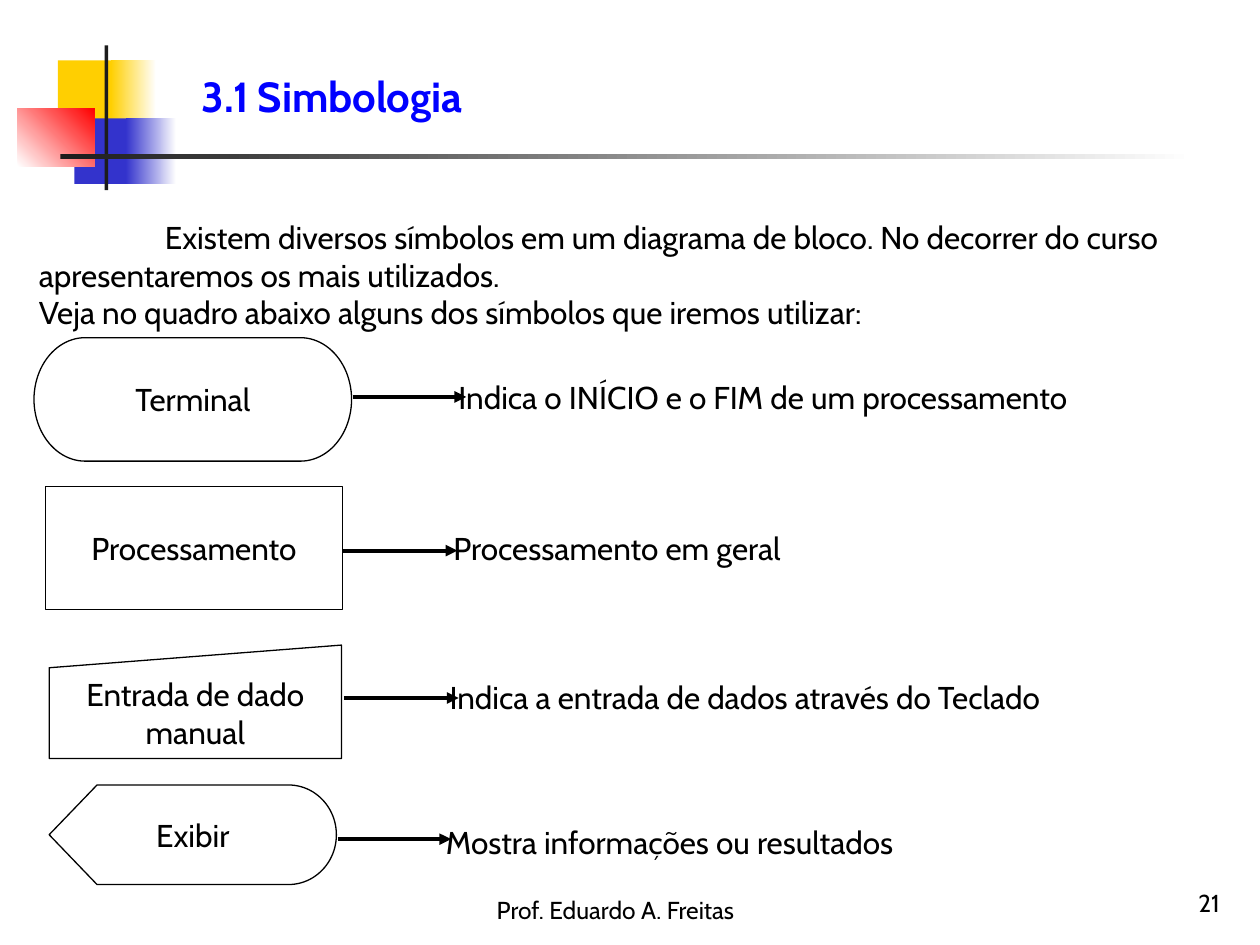
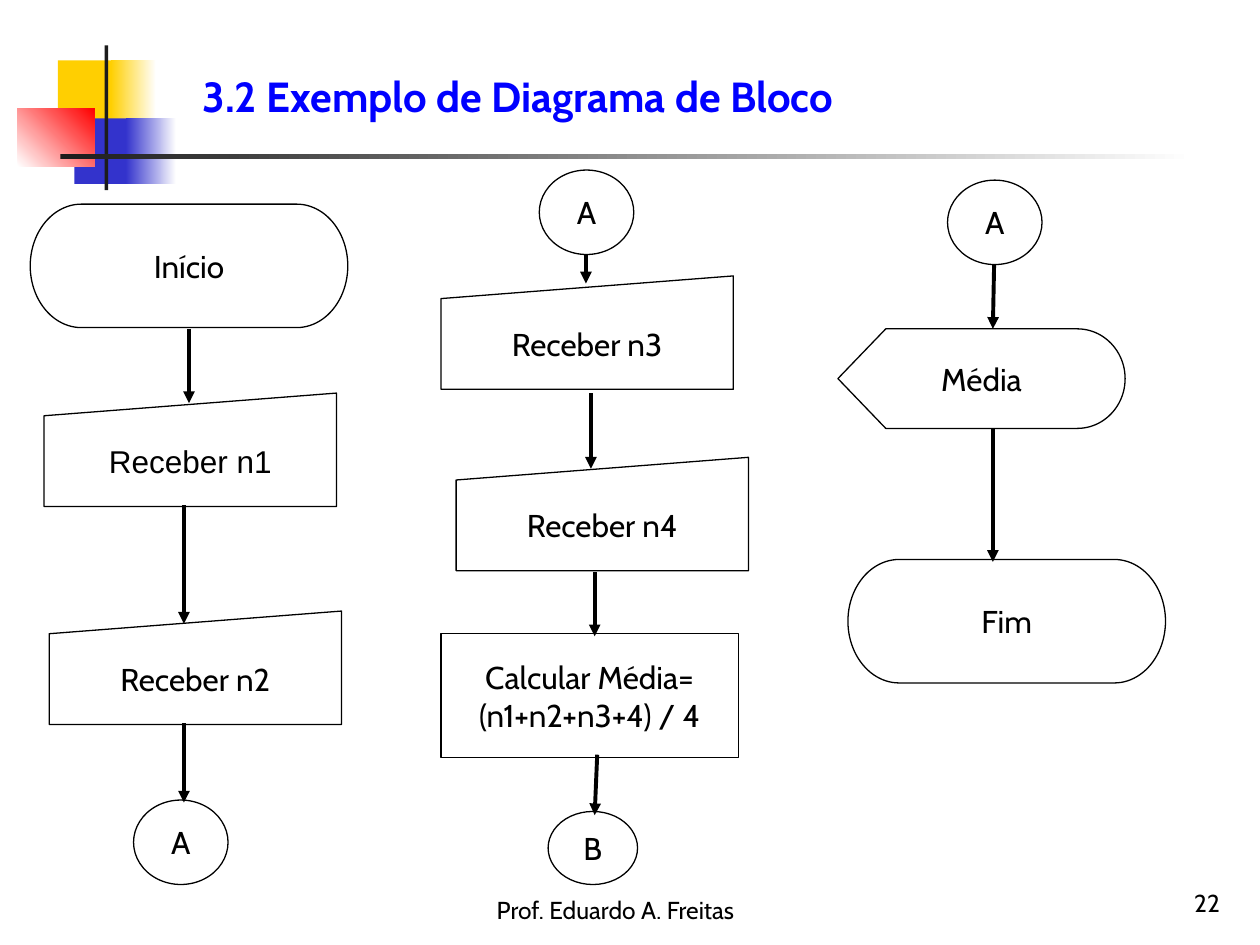
from lxml import etree
from pptx import Presentation
from pptx.dml.color import RGBColor
from pptx.enum import shapes, text
from pptx.oxml.ns import qn
from pptx.util import Inches, Pt

COLORS = {"yellow": "FFCF01", "blue": "3333CC", "red": "FF0000", "white": "FFFFFF",
          "dark": "1C1C1C", "title": "0000FF", "ink": "000000"}
FONT = "Cabin"
KIND = shapes.MSO_SHAPE
ALIGN = text.PP_ALIGN
ANCHOR = text.MSO_ANCHOR

# Flowchart symbols: preset shape, width, height
SYMBOLS = {
    "terminal": (KIND.FLOWCHART_TERMINATOR, 2.52, 0.98),
    "process": (KIND.FLOWCHART_PROCESS, 2.36, 0.98),
    "input": (KIND.FLOWCHART_MANUAL_INPUT, 2.32, 0.9),
    "display": (KIND.FLOWCHART_DISPLAY, 2.28, 0.79),
    "connector": (KIND.FLOWCHART_CONNECTOR, 0.75, 0.67),
    "small connector": (KIND.FLOWCHART_CONNECTOR, 0.71, 0.58),
}

# Corner ornament: left, top, width, height, colours (two make a gradient), angle
ORNAMENT = [
    (0.46, 0.48, 0.48, 0.52, ["yellow"], 0),
    (0.88, 0.48, 0.36, 0.52, ["yellow", "white"], 0),
    (0.59, 0.94, 0.46, 0.52, ["blue"], 0),
    (1, 0.94, 0.4, 0.52, ["blue", "white"], 0),
    (0.14, 0.86, 0.61, 0.46, ["white", "red"], 45),
    (0.83, 0.36, 0.03, 1.15, ["dark"], 0),
    (0.48, 1.22, 9, 0.04, ["dark", "white"], 0),
]

PAGES = [
    {
        "title": ("3.1 Simbologia", 1.5, 2.61),
        "number": "21",
        "intro": ["Existem diversos símbolos em um diagrama de bloco. No decorrer do curso",
                  "apresentaremos os mais utilizados.",
                  "Veja no quadro abaixo alguns dos símbolos que iremos utilizar:"],
        "symbols": [
            ("terminal", 0.27, 2.68, ["Terminal"], FONT),
            ("process", 0.36, 3.86, ["Processamento"], FONT),
            ("input", 0.39, 5.12, ["Entrada de dado", "manual"], FONT),
            ("display", 0.39, 6.23, ["Exibir"], FONT),
        ],
        "meanings": [
            ("Indica o INÍCIO e o FIM de um processamento", 3.54, 2.95, 5.62),
            ("Processamento em geral", 3.5, 4.15, 3.12),
            ("Indica a entrada de dados através do Teclado", 3.47, 5.33, 5.52),
            ("Mostra informações ou resultados", 3.44, 6.48, 4.23),
        ],
        "arrows": [(2.8, 3.15, 3.7, 3.15), (2.72, 4.37, 3.63, 4.37),
                   (2.73, 5.54, 3.64, 5.54), (2.68, 6.66, 3.58, 6.66)],
    },
    {
        "title": ("3.2 Exemplo de Diagrama de Bloco", 1.51, 5.9),
        "number": "22",
        "intro": [],
        "symbols": [
            ("terminal", 0.24, 1.62, ["Início"], FONT),
            ("input", 0.35, 3.12, ["Receber n1"], "Arial"),
            ("input", 0.39, 4.85, ["Receber n2"], FONT),
            ("connector", 1.06, 6.35, ["A"], FONT),
            ("connector", 4.28, 1.35, ["A"], FONT),
            ("input", 3.5, 2.19, ["Receber n3"], FONT),
            ("input", 3.62, 3.63, ["Receber n4"], FONT),
            ("process", 3.5, 5.03, ["Calcular Média=", "(n1+n2+n3+4) / 4"], FONT),
            ("small connector", 4.35, 6.44, ["B"], FONT),
            ("connector", 7.52, 1.43, ["A"], FONT),
            ("display", 6.65, 2.61, ["Média"], FONT),
            ("terminal", 6.73, 4.44, ["Fim"], FONT),
        ],
        "meanings": [],
        "arrows": [(1.5, 2.61, 1.5, 3.2), (1.46, 4.01, 1.46, 4.95), (1.46, 5.74, 1.46, 6.37),
                   (4.65, 2.02, 4.65, 2.25), (4.69, 3.12, 4.69, 3.72),
                   (4.72, 4.54, 4.72, 5.05), (4.74, 5.99, 4.72, 6.47),
                   (7.89, 2.1, 7.88, 2.61), (7.88, 3.4, 7.88, 4.46)],
    },
]


def write(box, lines, size=18, color="ink", font=FONT, bold=False,
          align=ALIGN.LEFT, anchor=ANCHOR.TOP, wrap=False):
    frame = box.text_frame
    frame.word_wrap = wrap
    frame.vertical_anchor = anchor
    for index, line in enumerate(lines):
        para = frame.add_paragraph() if index else frame.paragraphs[0]
        para.alignment = align
        span = para.add_run()
        span.text = line
        span.font.size = Pt(size)
        span.font.name = font
        span.font.bold = bold
        span.font.color.rgb = RGBColor.from_string(COLORS[color])


def add_label(page, left, top, width, height, lines, **style):
    box = page.shapes.add_textbox(Inches(left), Inches(top), Inches(width), Inches(height))
    write(box, lines, **style)
    if not style.get("wrap"):
        box.text_frame.auto_size = text.MSO_AUTO_SIZE.SHAPE_TO_FIT_TEXT
    return box


deck = Presentation()
deck.slide_width, deck.slide_height = Inches(10), Inches(7.5)

for content in PAGES:
    page = deck.slides.add_slide(deck.slide_layouts[6])

    # Corner ornament and title rule
    for left, top, width, height, colors, angle in ORNAMENT:
        block = page.shapes.add_shape(KIND.RECTANGLE, Inches(left), Inches(top),
                                      Inches(width), Inches(height))
        block.shadow.inherit = False
        block.line.fill.background()
        if len(colors) == 1:
            block.fill.solid()
            block.fill.fore_color.rgb = RGBColor.from_string(COLORS[colors[0]])
        else:
            block.fill.gradient()
            block.fill.gradient_angle = angle
            for stop, color in zip(block.fill.gradient_stops, colors):
                stop.color.rgb = RGBColor.from_string(COLORS[color])

    # Footer, page number and title
    add_label(page, 3.3, 6.89, 3.17, 0.5, ["Prof. Eduardo A. Freitas"], size=14,
              align=ALIGN.CENTER, anchor=ANCHOR.BOTTOM, wrap=True)
    add_label(page, 7.7, 6.83, 2.08, 0.5, [content["number"]], size=14,
              align=ALIGN.RIGHT, anchor=ANCHOR.BOTTOM, wrap=True)
    title, left, width = content["title"]
    add_label(page, left, 0.51, width, 0.5, [title], size=24, color="title", bold=True)

    # Introduction with an indented first line
    if content["intro"]:
        intro = add_label(page, 0.21, 1.68, 9.52, 1.3, content["intro"], wrap=True)
        first = intro.text_frame.paragraphs[0]._p.get_or_add_pPr()
        first.set("marL", "0")
        first.set("indent", str(Inches(1)))

    # Flowchart symbols
    for name, left, top, lines, font in content["symbols"]:
        kind, width, height = SYMBOLS[name]
        symbol = page.shapes.add_shape(kind, Inches(left), Inches(top),
                                       Inches(width), Inches(height))
        symbol.shadow.inherit = False
        symbol.fill.solid()
        symbol.fill.fore_color.rgb = RGBColor.from_string(COLORS["white"])
        symbol.line.color.rgb = RGBColor.from_string(COLORS["ink"])
        symbol.line.width = Pt(0.75)
        write(symbol, lines, font=font, align=ALIGN.CENTER, anchor=ANCHOR.MIDDLE)

    # Meaning of each symbol
    for meaning, left, top, width in content["meanings"]:
        add_label(page, left, top, width, 0.4, [meaning])

    # Arrows
    for ends in content["arrows"]:
        arrow = page.shapes.add_connector(shapes.MSO_CONNECTOR.STRAIGHT, *map(Inches, ends))
        arrow.line.color.rgb = RGBColor.from_string(COLORS["ink"])
        arrow.line.width = Pt(2.25)
        etree.SubElement(arrow.line._get_or_add_ln(), qn("a:tailEnd"), type="triangle")
        etree.SubElement(arrow._element.spPr, qn("a:effectLst"))

deck.save("out.pptx")
